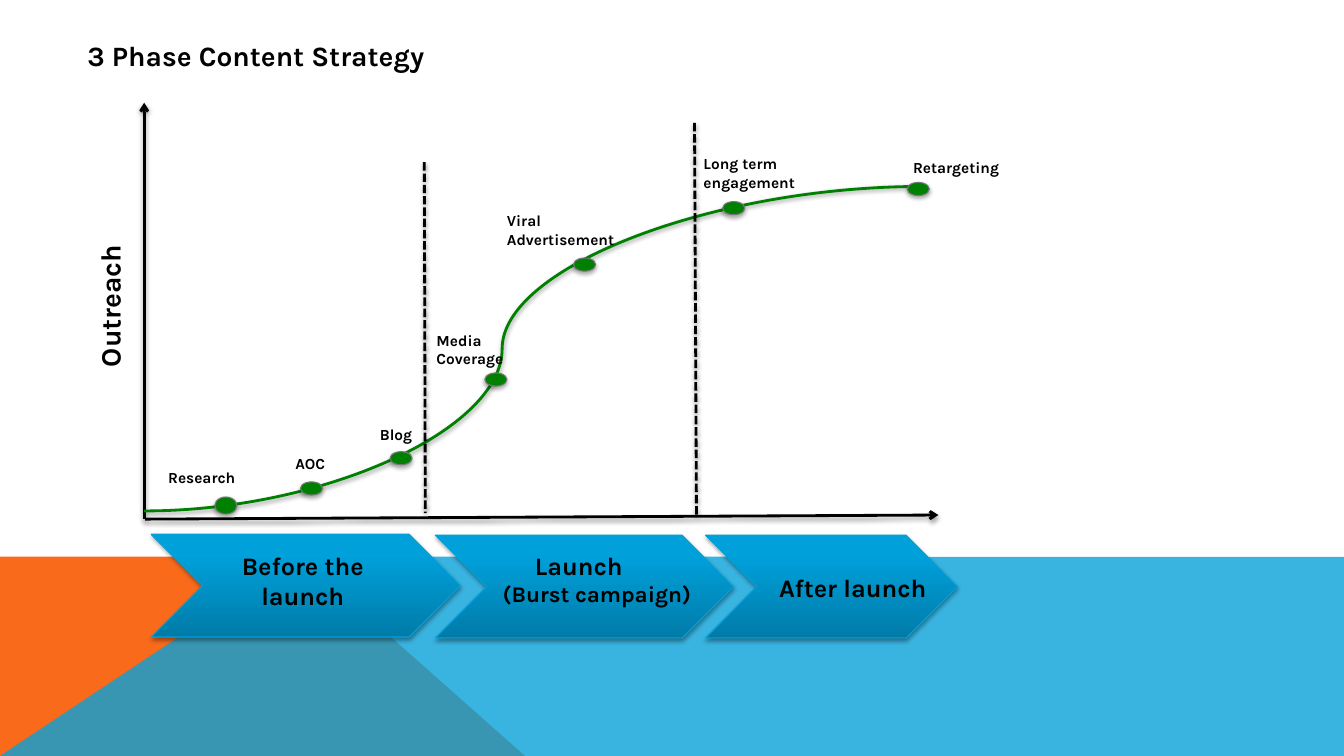
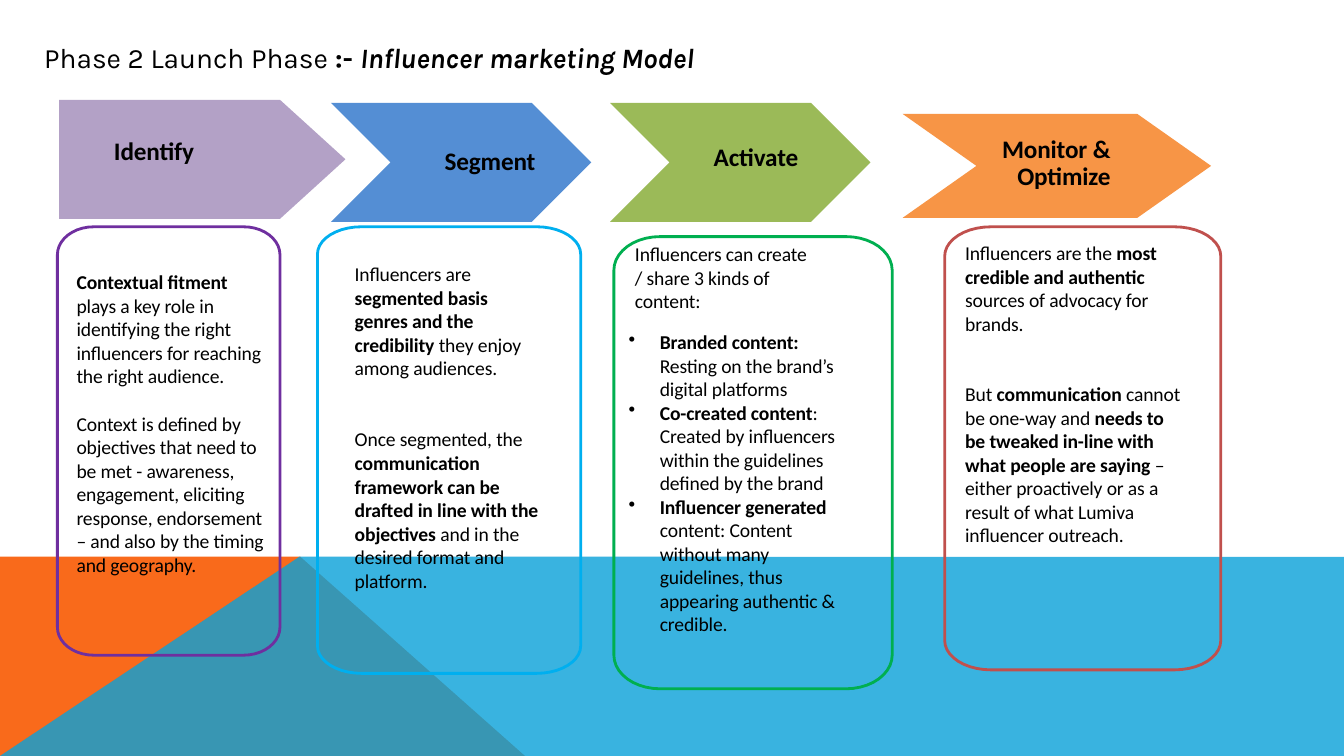
from dataclasses import dataclass
from math import cos, radians, sin

from lxml.etree import SubElement
from pptx import Presentation
from pptx.dml.color import RGBColor
from pptx.enum.dml import MSO_LINE
from pptx.enum.shapes import MSO_CONNECTOR, MSO_SHAPE
from pptx.enum.text import PP_ALIGN
from pptx.oxml.ns import qn
from pptx.util import Pt


@dataclass(frozen=True)
class Theme:
    heading_font: str = "Karla"
    body_font: str = "Calibri"
    title_size: int = 20
    heading_size: int = 18
    note_size: int = 16
    body_size: int = 14
    label_size: int = 11
    black: str = "000000"
    band_orange: str = "F96A1B"
    band_blue: str = "08A1D9"
    phase_dark: str = "007BA8"
    phase_light: str = "00A0DA"
    phase_line: str = "03A0D9"
    curve_green: str = "008000"
    dot_line: str = "76787B"
    lilac: str = "B3A1C6"
    blue: str = "548ED4"
    green: str = "9BBA58"
    orange: str = "F79546"
    purple_line: str = "6F2F9F"
    blue_line: str = "00AFEF"
    green_line: str = "00AF50"
    red_line: str = "C0504D"


THEME = Theme()


def write(paragraph, text, size=THEME.body_size, font=THEME.heading_font,
          bold=False, italic=False, spacing=0):
    for index, part in enumerate(text.split("*")):
        for line_number, line in enumerate(part.split("\n")):
            if line_number:
                paragraph.add_line_break()
            if not line:
                continue
            run = paragraph.add_run()
            run.text = line
            run.font.size = Pt(size)
            run.font.name = font
            run.font.bold = bold or index % 2 == 1
            run.font.italic = italic
            run.font.color.rgb = RGBColor.from_string(THEME.black)
            if spacing:
                run._r.get_or_add_rPr().set("spc", str(round(spacing * 100)))


def set_indent(paragraph, left, first=0, bullet=None):
    properties = paragraph._p.get_or_add_pPr()
    properties.set("marL", str(int(Pt(left))))
    properties.set("indent", str(int(Pt(first))))
    if bullet:
        SubElement(properties, qn("a:buChar")).set("char", bullet)


def set_shadow(shape, opacity, distance):
    properties = shape._element.spPr
    effects = properties.find(qn("a:effectLst"))
    if effects is None:
        effects = SubElement(properties, qn("a:effectLst"))
    shadow = SubElement(effects, qn("a:outerShdw"), blurRad=str(int(Pt(3.1))),
                        dist=str(int(Pt(distance))), dir="5400000", rotWithShape="0")
    color = SubElement(shadow, qn("a:srgbClr"), val=THEME.black)
    SubElement(color, qn("a:alpha"), val=str(opacity * 1000))


class Deck:
    def __init__(self):
        self.presentation = Presentation()
        self.presentation.slide_width = Pt(960)
        self.presentation.slide_height = Pt(540)
        self.slide = None

    def add_slide(self):
        self.slide = self.presentation.slides.add_slide(self.presentation.slide_layouts[6])
        self.outline([(0, 540), (0, 397.6), (214.4, 397.6), (375, 540)], fill=THEME.band_orange)
        band = self.outline([(0, 540), (214, 397.6), (960, 397.9), (960, 540)],
                            fill=THEME.band_blue)
        color = band._element.spPr.find(qn("a:solidFill")).find(qn("a:srgbClr"))
        SubElement(color, qn("a:alpha"), val="80000")

    def paint(self, shape, fill=None, line=None, width=0.75):
        shape.shadow.inherit = False
        if fill:
            shape.fill.solid()
            shape.fill.fore_color.rgb = RGBColor.from_string(fill)
        else:
            shape.fill.background()
        if line:
            shape.line.color.rgb = RGBColor.from_string(line)
            shape.line.width = Pt(width)
        else:
            shape.line.fill.background()
        return shape

    def outline(self, points, **style):
        start, *rest = [(Pt(x), Pt(y)) for x, y in points]
        builder = self.slide.shapes.build_freeform(*start, scale=1.0)
        builder.add_line_segments(rest, close=True)
        return self.paint(builder.convert_to_shape(), **style)

    def shape(self, kind, left, top, width, height, point=None, **style):
        shape = self.slide.shapes.add_shape(kind, Pt(left), Pt(top), Pt(width), Pt(height))
        if point is not None:
            shape.adjustments[0] = point
        return self.paint(shape, **style)

    def card(self, left, top, width, height, radius_x, radius_y, color):
        right, bottom = left + width, top + height
        corners = [(right - radius_x, bottom - radius_y), (left + radius_x, bottom - radius_y),
                   (left + radius_x, top + radius_y), (right - radius_x, top + radius_y)]
        points = []
        for quarter, (x, y) in enumerate(corners):
            for step in range(0, 91, 9):
                angle = radians(quarter * 90 + step)
                points.append((x + radius_x * cos(angle), y + radius_y * sin(angle)))
        return self.outline(points, line=color, width=2)

    def phase(self, left, top, width):
        shape = self.shape(MSO_SHAPE.CHEVRON, left, top, width, 73.4, line=THEME.phase_line)
        shape.fill.gradient()
        shape.fill.gradient_angle = 90
        dark, light = shape.fill.gradient_stops
        dark.color.rgb = RGBColor.from_string(THEME.phase_dark)
        dark.position = 0
        light.color.rgb = RGBColor.from_string(THEME.phase_light)
        light.position = 0.8
        set_shadow(shape, 35, 1.8)

    def dot(self, left, top, height=9.4):
        shape = self.shape(MSO_SHAPE.OVAL, left, top, 15.8, height,
                           fill=THEME.curve_green, line=THEME.dot_line)
        set_shadow(shape, 35, 1.8)

    def line(self, start, end, color=THEME.black, kind=MSO_CONNECTOR.STRAIGHT,
             dashed=False, arrow=False, bend=None):
        connector = self.slide.shapes.add_connector(
            kind, *[Pt(value) for value in (*start, *end)])
        connector.line.color.rgb = RGBColor.from_string(color)
        connector.line.width = Pt(2)
        if dashed:
            connector.line.dash_style = MSO_LINE.SQUARE_DOT
        properties = connector._element.spPr
        if arrow:
            SubElement(properties.find(qn("a:ln")), qn("a:tailEnd"), type="arrow")
        if bend is not None:
            geometry = properties.find(qn("a:prstGeom"))
            adjustments = geometry.find(qn("a:avLst"))
            if adjustments is None:
                adjustments = SubElement(geometry, qn("a:avLst"))
            SubElement(adjustments, qn("a:gd"), name="adj1", fmla=f"val {round(bend * 100000)}")
        set_shadow(connector, 38, 1.6)

    def text(self, left, top, width, height, paragraphs, align=PP_ALIGN.LEFT, inset=True,
             gap=0, leading=None, bullet=None, rotation=0, **style):
        box = self.slide.shapes.add_textbox(Pt(left), Pt(top), Pt(width), Pt(height))
        box.rotation = rotation
        frame = box.text_frame
        frame.word_wrap = True
        if not inset:
            frame.margin_left = frame.margin_right = frame.margin_top = frame.margin_bottom = 0
        for index, content in enumerate(paragraphs):
            paragraph = frame.add_paragraph() if index else frame.paragraphs[0]
            paragraph.alignment = align
            if index and gap:
                paragraph.space_before = Pt(gap)
            if leading:
                paragraph.line_spacing = Pt(leading)
            if bullet:
                set_indent(paragraph, 23.8, -22.3, bullet)
            write(paragraph, content, **style)
        return frame.paragraphs

    def title(self, left, top, text, **style):
        return self.text(left, top, 620, 31.7, [text], size=THEME.title_size, **style)[0]

    def body(self, left, top, width, height, paragraphs, **style):
        self.text(left, top, width, height, paragraphs, inset=False,
                  font=THEME.body_font, spacing=-0.1, **style)


def build_strategy(deck):
    deck.add_slide()
    for left, top, width in [(108, 381.6, 221), (311, 382.3, 213), (504, 382.3, 180)]:
        deck.phase(left, top, width)
    deck.line((103, 370.8), (103, 73.4), arrow=True)
    deck.line((103.7, 370.8), (670.3, 367.9), arrow=True)
    deck.line((103, 365), (658.8, 133.2), color=THEME.curve_green,
              kind=MSO_CONNECTOR.CURVE, bend=0.46)
    deck.dot(153.4, 355, 12.2)
    for left, top in [(214.6, 344.2), (278.6, 322.6), (346.3, 266.4),
                      (409.7, 184.3), (516.2, 144), (648, 130.3)]:
        deck.dot(left, top)
    for left, top, width, label in [
        (113, 330.5, 70.6, "Research"),
        (203.8, 321.1, 70.6, "AOC"),
        (264.2, 300.2, 70.6, "Blog"),
        (304.6, 232.6, 70.6, "Media Coverage"),
        (355, 147.6, 103.7, "Viral Advertisement"),
        (495.4, 106.6, 121.7, "Long term engagement"),
        (645.1, 109.4, 103.7, "Retargeting"),
    ]:
        deck.text(left, top, width, 34, [label], size=THEME.label_size, bold=True)
    heading = dict(size=THEME.heading_size, bold=True)
    deck.text(149, 389.5, 134.6, 51, ["Before the launch"], align=PP_ALIGN.CENTER, **heading)
    launch = deck.text(352, 389.5, 170.6, 48, ["Launch", ""], **heading)
    set_indent(launch[0], 23)
    write(launch[1], "(Burst campaign)", size=THEME.note_size, bold=True)
    deck.text(549.5, 405.4, 140, 30, ["After launch"], **heading)
    deck.text(4.3, 179.3, 148.3, 31.7, ["Outreach"], rotation=270,
              size=THEME.title_size, bold=True)
    deck.title(55.4, 23.8, "3 Phase Content Strategy", bold=True)
    deck.line((303.1, 115.9), (303.8, 366.5), dashed=True)
    deck.line((496.1, 87.8), (497.5, 368.6), dashed=True)


def build_influencer_model(deck):
    deck.add_slide()
    title = deck.title(24.5, 25.2, "Phase 2 Launch Phase *:- *")
    write(title, "Influencer marketing Model", size=THEME.title_size, bold=True, italic=True)

    for kind, left, top, width, height, point, color in [
        (MSO_SHAPE.PENTAGON, 42.3, 71.3, 204.5, 85, 0.55, THEME.lilac),
        (MSO_SHAPE.CHEVRON, 236.4, 73.5, 186, 85, 0.5, THEME.blue),
        (MSO_SHAPE.CHEVRON, 435.8, 73.5, 186, 85, 0.5, THEME.green),
        (MSO_SHAPE.CHEVRON, 644.8, 81.4, 220.3, 74.2, 0.71, THEME.orange),
    ]:
        deck.shape(kind, left, top, width, height, point, fill=color)
    heading = dict(size=THEME.heading_size, bold=True)
    for left, top, name in [(81.4, 96.5, "Identify"), (317.6, 103.7, "Segment"),
                            (509.8, 100.8, "Activate")]:
        deck.body(left, top, 90, 24, [name], **heading)
    deck.body(690, 97.2, 103.2, 40, ["Monitor &", "Optimize"],
              align=PP_ALIGN.RIGHT, leading=19.4, **heading)

    for card in [
        (41, 162, 159, 306, 26, 20, THEME.purple_line),
        (226.8, 162, 188, 319, 31.5, 19.5, THEME.blue_line),
        (438.5, 169, 198.8, 323, 33, 24, THEME.green_line),
        (674.8, 162, 197.2, 316.5, 33, 21, THEME.red_line),
    ]:
        deck.card(*card)
    deck.body(54.7, 193, 141.1, 220, [
        "*Contextual fitment*\nplays a key role in identifying the right influencers "
        "for reaching the right audience.",
        "Context is defined by objectives that need to be met - awareness, engagement, "
        "eliciting response, endorsement – and also by the timing and geography.",
    ], gap=17)
    deck.body(253.4, 187.2, 133.9, 85, [
        "Influencers are *segmented basis\ngenres and the credibility* they enjoy "
        "among audiences."])
    deck.body(253.4, 305.3, 152.6, 119, [
        "Once segmented, the *communication\nframework can be\ndrafted in line with the "
        "objectives* and in the desired format and platform."])
    deck.body(453.6, 172.8, 126.7, 52, ["Influencers can create", "/ share 3 kinds of content:"])
    deck.body(447.5, 235.7, 162, 220, [
        "*Branded content:*\nResting on the brand’s digital platforms",
        "*Co-created content*: Created by influencers within the guidelines "
        "defined by the brand",
        "*Influencer generated* content: Content\nwithout many\nguidelines, thus appearing "
        "authentic & credible.",
    ], bullet="•")
    deck.body(689.4, 172.1, 151.2, 68, [
        "Influencers are the *most credible and authentic* sources of advocacy for brands."])
    deck.body(689.4, 272.9, 160.6, 119, [
        "But *communication* cannot be one-way and *needs to\nbe tweaked in-line with what "
        "people are saying* – either proactively or as a result of what Lumiva "
        "influencer outreach."])


def main():
    deck = Deck()
    build_strategy(deck)
    build_influencer_model(deck)
    deck.presentation.save("out.pptx")


if __name__ == "__main__":
    main()
